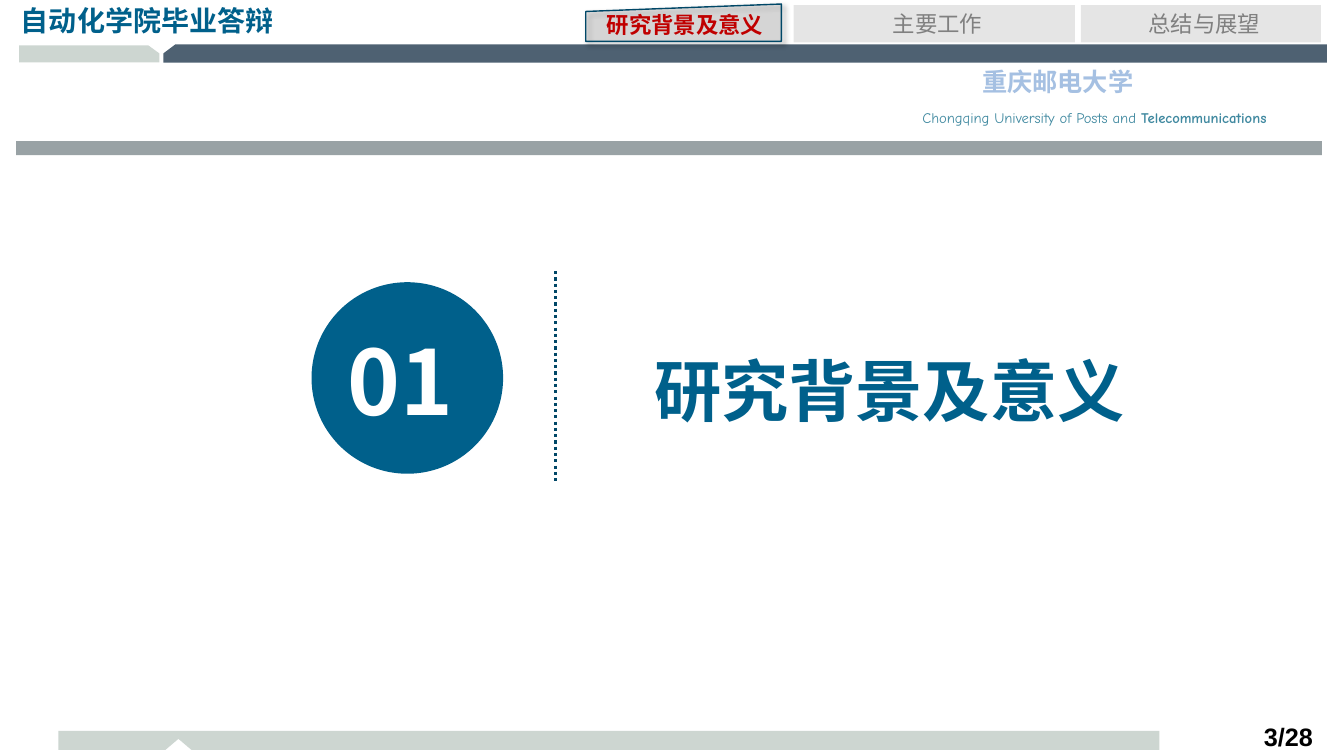
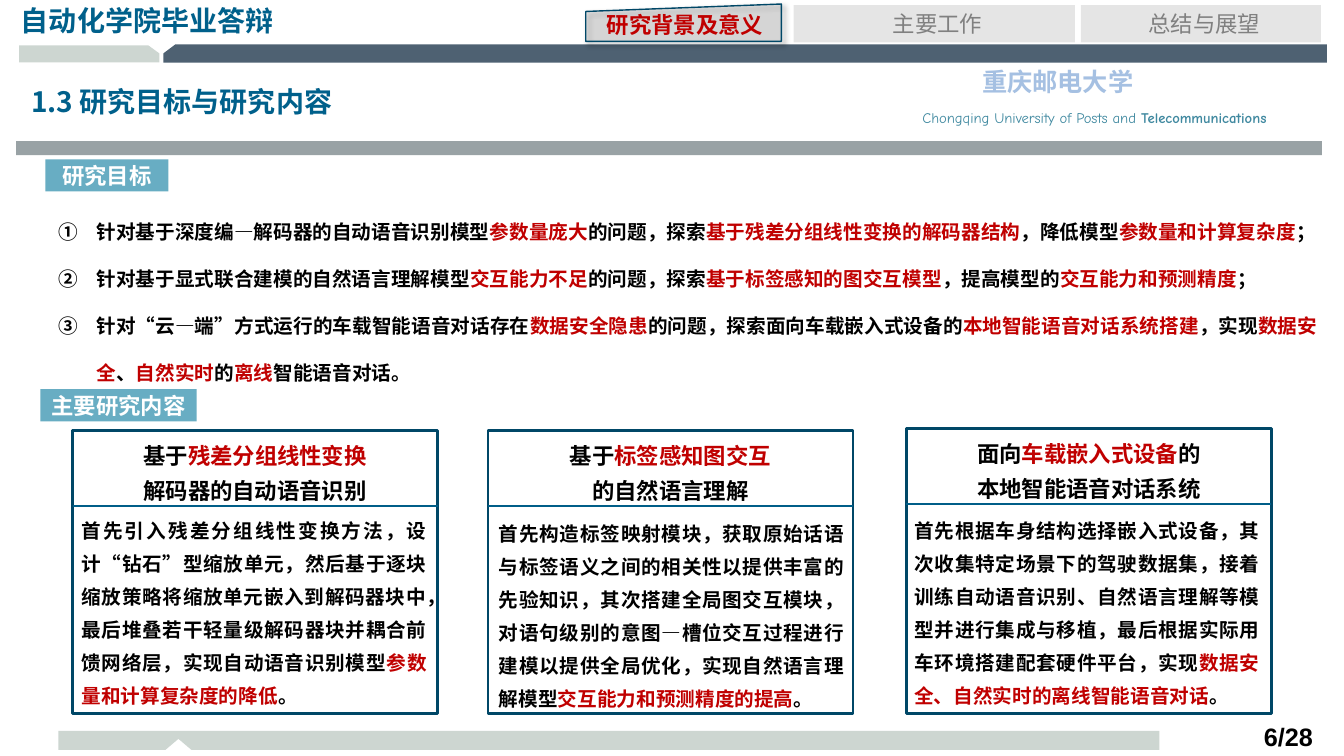
from lxml.etree import SubElement
from pptx import Presentation
from pptx.dml.color import RGBColor
from pptx.enum.dml import MSO_LINE
from pptx.enum.shapes import MSO_CONNECTOR, MSO_SHAPE
from pptx.enum.text import MSO_ANCHOR, PP_ALIGN
from pptx.oxml.ns import qn
from pptx.util import Pt

PX = 9144  # 100 px to the inch
CJK = "Noto Sans CJK SC"
BLACK, WHITE, RED, GREY = "000000", "FFFFFF", "C00000", "808080"
BLUE, NAVY, RULE_BLUE, LABEL_BLUE = "00608B", "004767", "005E88", "68ADC3"
PALE, SLATE, STEEL = "CDD6D1", "4E6172", "99A2A5"
SKY, TEAL = "A5C0E2", "4089A0"
LEFT, CENTER, RIGHT, JUSTIFY = PP_ALIGN.LEFT, PP_ALIGN.CENTER, PP_ALIGN.RIGHT, PP_ALIGN.JUSTIFY
hex_colour = RGBColor.from_string


def draw(slide, kind, box, fill=None, line=None, weight=1):
    """Add a preset shape, or a "text" box or straight "line", in the box (left, top, width, height)."""
    left, top, width, height = [value * PX for value in box]
    if kind == "text":
        return slide.shapes.add_textbox(left, top, width, height)
    if kind == "line":
        shape = slide.shapes.add_connector(
            MSO_CONNECTOR.STRAIGHT, left, top, left + width, top + height)
        SubElement(shape.element.spPr, qn("a:effectLst"))
    else:
        shape = slide.shapes.add_shape(kind, left, top, width, height)
        shape.shadow.inherit = False
        if fill:
            shape.fill.solid()
            shape.fill.fore_color.rgb = hex_colour(fill)
        else:
            shape.fill.background()
    if line:
        shape.line.color.rgb = hex_colour(line)
        shape.line.width = Pt(weight)
    else:
        shape.line.fill.background()
    return shape


def write(shape, lines, size, colour=BLACK, align=LEFT, bold=True, font=CJK,
          spacing=None, anchor=MSO_ANCHOR.TOP, numbered=False):
    """Fill a shape with one paragraph per line; parts between asterisks are red."""
    frame = shape.text_frame
    frame.word_wrap = True
    frame.vertical_anchor = anchor
    for index, line in enumerate(lines):
        paragraph = frame.add_paragraph() if index else frame.paragraphs[0]
        paragraph.alignment = align
        properties = paragraph._p.get_or_add_pPr()
        if numbered:
            properties.set("marL", str(38 * PX))
            properties.set("indent", str(-38 * PX))
            SubElement(properties, qn("a:buAutoNum"), type="circleNumDbPlain")
        if spacing:
            paragraph.line_spacing = spacing
        paragraph.font.size = Pt(size)
        paragraph.font.bold = bold
        paragraph.font.name = font
        paragraph.font.color.rgb = hex_colour(colour)
        SubElement(properties.find(qn("a:defRPr")), qn("a:ea"), typeface=font)
        for position, part in enumerate(line.split("*")):
            if part:
                run = paragraph.add_run()
                run.text = part
                if position % 2:
                    run.font.color.rgb = hex_colour(RED)
    return frame


presentation = Presentation()
presentation.slide_width, presentation.slide_height = 1333 * PX, 750 * PX

bands = [
    (PALE, [(1150, 725), (1150, 744), (190, 744), (177, 733), (164, 744), (58, 744), (58, 725)]),
    (PALE, [(158, 62), (19, 62), (19, 45), (147, 45), (158, 53)]),
    (SLATE, [(1316, 44), (1316, 62), (162, 62), (162, 53), (174, 44)]),
]
tabs = [("主要工作", 787, 279), ("总结与展望", 1072, 238)]

# Frame shared by all slides
slides = []
for page in ("3/28", "6/28"):
    slide = presentation.slides.add_slide(presentation.slide_layouts[6])
    slides.append(slide)
    for colour, points in bands:
        builder = slide.shapes.build_freeform(*points[0], scale=PX)
        builder.add_line_segments(points[1:], close=True)
        band = builder.convert_to_shape()
        band.shadow.inherit = False
        band.fill.solid()
        band.fill.fore_color.rgb = hex_colour(colour)
        band.line.fill.background()
    draw(slide, MSO_SHAPE.RECTANGLE, (16, 140, 1295, 14), STEEL)

    write(draw(slide, "text", (11, -1, 280, 44)), ["自动化学院毕业答辩"], 20, BLUE)
    write(draw(slide, "text", (877, 61, 344, 38)), ["重庆邮电大学"], 18, SKY, CENTER)
    english_name = write(draw(slide, "text", (850, 103, 471, 25)),
                         ["Chongqing University of Posts and "], 10.5, TEAL, CENTER,
                         bold=False, font="Comic Neue")
    last_word = english_name.paragraphs[0].add_run()
    last_word.text = "Telecommunications"
    last_word.font.bold = True
    write(draw(slide, "text", (1198, 711, 114, 22)), [page], 18, align=RIGHT, font="Arial")

    active_tab = draw(slide, MSO_SHAPE.FLOWCHART_MANUAL_INPUT, (581, 4, 194, 37), GREY, NAVY)
    tab_shapes = [active_tab]
    for label, left, width in tabs:
        tab_shapes.append(draw(slide, MSO_SHAPE.RECTANGLE, (left, 5, width, 37), GREY))
        write(draw(slide, "text", (left + 5, 5, width - 3, 37)), [label], 16, GREY, CENTER,
              bold=False)
    for tab in tab_shapes:
        fill_colour = tab.element.spPr.find(qn("a:solidFill")).find(qn("a:srgbClr"))
        SubElement(fill_colour, qn("a:alpha"), val="20000")
    shadow = SubElement(active_tab.element.spPr.find(qn("a:effectLst")), qn("a:outerShdw"),
                        blurRad=str(Pt(4)), dist=str(Pt(3)), dir="2700000")
    shadow_colour = SubElement(shadow, qn("a:srgbClr"), val=BLACK)
    SubElement(shadow_colour, qn("a:alpha"), val="40000")
    write(draw(slide, "text", (592, 6, 183, 37)), ["研究背景及意义"], 16, RED)

section, content = slides

# Section opener
write(draw(section, "text", (606, 342, 552, 94)), ["研究背景及意义"], 48, BLUE, CENTER)
divider = draw(section, "line", (551, 269, 0, 211), line=NAVY, weight=2.25)
divider.line.dash_style = MSO_LINE.ROUND_DOT
draw(section, MSO_SHAPE.OVAL, (309, 280, 190, 190), BLUE)
number = write(draw(section, "text", (345, 323, 111, 108)), ["01"], 64, WHITE)
number.margin_left = number.margin_right = number.margin_top = number.margin_bottom = 0

# Goals and contents
write(draw(content, "text", (21, 73, 602, 55)), ["1.3 研究目标与研究内容"], 20, BLUE,
      anchor=MSO_ANCHOR.MIDDLE)
for label, box in [("研究目标", (45, 158, 122, 32)), ("主要研究内容", (40, 386, 155, 32))]:
    write(draw(content, MSO_SHAPE.RECTANGLE, box, LABEL_BLUE), [label], 16, WHITE, CENTER,
          anchor=MSO_ANCHOR.MIDDLE)

goals = [
    "针对基于深度编—解码器的自动语音识别模型*参数量庞大*的问题，探索"
    "*基于残差分组线性变换的解码器结构*，降低模型*参数量和计算复杂度*；",
    "针对基于显式联合建模的自然语言理解模型*交互能力不足*的问题，探索"
    "*基于标签感知的图交互模型*，提高模型的*交互能力和预测精度*；",
    "针对“云—端”方式运行的车载智能语音对话存在*数据安全隐患*的问题，探索面向车载嵌入式设备的"
    "*本地智能语音对话系统搭建*，实现*数据安全*、*自然实时*的*离线*智能语音对话。",
]
write(draw(content, "text", (48, 190, 1268, 191)), goals, 14, align=JUSTIFY, spacing=2.0,
      numbered=True)

CARD_WIDTH, CARD_BOTTOM, HEADING_HEIGHT = 362, 708, 75
cards = [
    (72, 427, 71, 501, ["基于*残差分组线性变换*", "解码器的自动语音识别"],
     "首先引入残差分组线性变换方法，设计“钻石”型缩放单元，然后基于逐块缩放策略将缩放单元"
     "嵌入到解码器块中，最后堆叠若干轻量级解码器块并耦合前馈网络层，实现自动语音识别模型"
     "*参数量和计算复杂度的降低*。"),
    (484, 427, 485, 504, ["基于*标签感知图交互*", "的自然语言理解"],
     "首先构造标签映射模块，获取原始话语与标签语义之间的相关性以提供丰富的先验知识，"
     "其次搭建全局图交互模块，对语句级别的意图—槽位交互过程进行建模以提供全局优化，"
     "实现自然语言理解模型*交互能力和预测精度的提高*。"),
    (899, 425, 897, 501, ["面向*车载嵌入式设备*的", "本地智能语音对话系统"],
     "首先根据车身结构选择嵌入式设备，其次收集特定场景下的驾驶数据集，接着训练自动语音识别、"
     "自然语言理解等模型并进行集成与移植，最后根据实际用车环境搭建配套硬件平台，实现"
     "*数据安全、自然实时的离线智能语音对话*。"),
]
for left, top, body_left, body_top, heading, body in cards:
    draw(content, MSO_SHAPE.RECTANGLE, (left, top, CARD_WIDTH, CARD_BOTTOM - top),
         line=NAVY, weight=2)
    draw(content, "line", (left, top + HEADING_HEIGHT, CARD_WIDTH, 0), line=RULE_BLUE, weight=1.5)
    write(draw(content, "text", (left, top - 1, CARD_WIDTH, 77)), heading, 16, align=CENTER,
          spacing=1.3)
    write(draw(content, "text", (body_left, body_top, CARD_WIDTH, 204)), [body], 14,
          align=JUSTIFY, spacing=1.4)

presentation.save("out.pptx")
